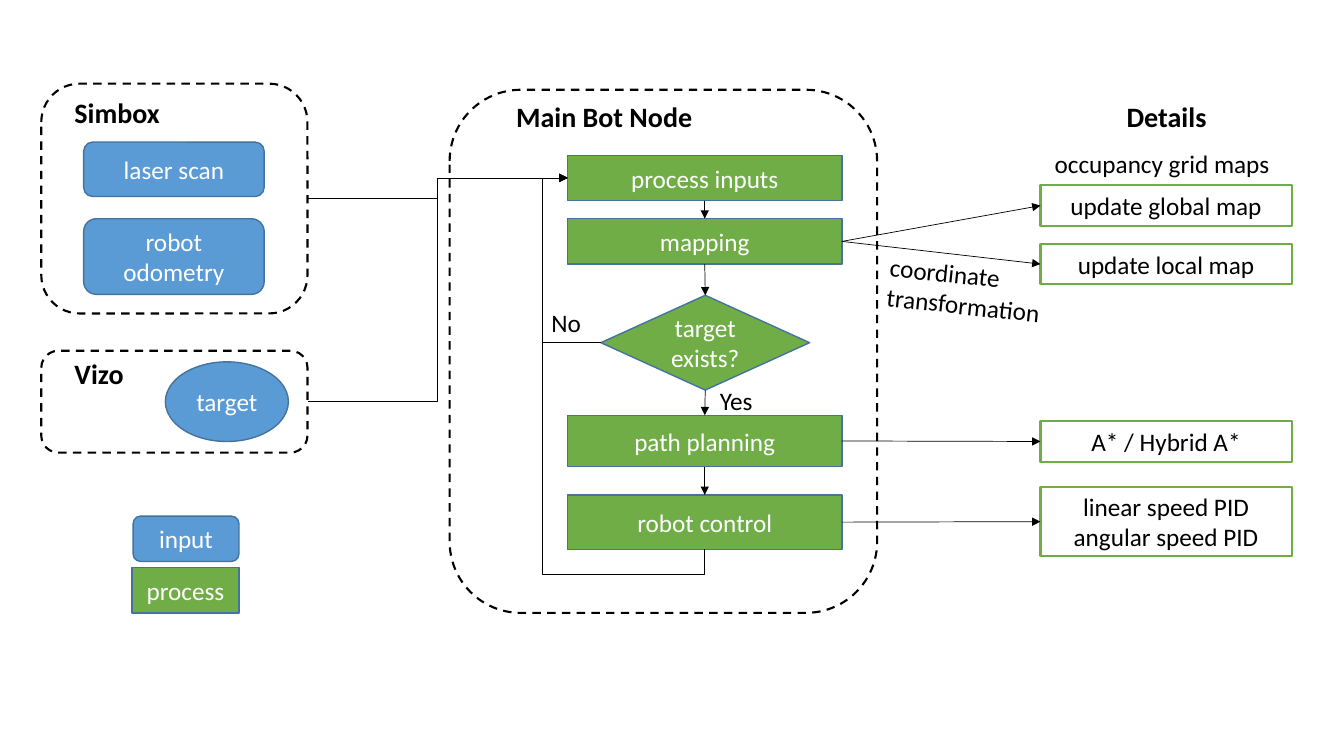
"""Build the flowchart slide of a robot navigation node with its inputs and details."""
from dataclasses import dataclass

from lxml import etree
from pptx import Presentation
from pptx.dml.color import RGBColor
from pptx.enum.dml import MSO_LINE
from pptx.enum.shapes import MSO_CONNECTOR, MSO_SHAPE
from pptx.enum.text import MSO_ANCHOR, PP_ALIGN
from pptx.oxml.ns import qn
from pptx.util import Inches, Pt

RECTANGLE = MSO_SHAPE.RECTANGLE
ROUNDED = MSO_SHAPE.ROUNDED_RECTANGLE
OVAL = MSO_SHAPE.OVAL
DIAMOND = MSO_SHAPE.DIAMOND
STRAIGHT = MSO_CONNECTOR.STRAIGHT
ELBOW = MSO_CONNECTOR.ELBOW
DASH = MSO_LINE.DASH
MIDDLE = MSO_ANCHOR.MIDDLE
LEFT = PP_ALIGN.LEFT
CENTER = PP_ALIGN.CENTER
TOP_SITE, LEFT_SITE, BOTTOM_SITE, RIGHT_SITE = range(4)


@dataclass(frozen=True)
class Theme:
    """Colours, font and sizes of the slide."""
    font: str = "Calibri"
    body: int = 18
    heading: int = 20
    black: str = "000000"
    white: str = "FFFFFF"
    blue: str = "5B9BD5"
    green: str = "70AD47"
    edge: str = "43739E"
    edge_width: float = 1
    frame_width: float = 1.5
    arrow_width: float = 0.5


THEME = Theme()
STEP_LEFT, STEP_WIDTH = 5.63, 2.72
DETAIL_LEFT, DETAIL_WIDTH = 10.32, 2.49
INPUT_LEFT, INPUT_WIDTH = 0.83, 1.79
FRAME_LEFT, FRAME_WIDTH = 0.41, 2.64
LOOP_X = 5.38
LOOP_DROP = 0.25

FRAMES = {
    "Simbox": (FRAME_LEFT, 0.83, FRAME_WIDTH, 2.28),
    "Vizo": (FRAME_LEFT, 3.48, FRAME_WIDTH, 1.01),
    "Main Bot Node": (4.46, 0.89, 4.24, 5.19),
}
INPUTS = [
    ("laser scan", ROUNDED, (INPUT_LEFT, 1.41, INPUT_WIDTH, 0.54)),
    ("robot odometry", ROUNDED, (INPUT_LEFT, 2.17, INPUT_WIDTH, 0.75)),
    ("target", OVAL, (1.64, 3.59, 1.22, 0.79)),
    ("input", ROUNDED, (1.32, 5.12, 1.05, 0.45)),
]
PROCESSES = [
    ("process inputs", RECTANGLE, (STEP_LEFT, 1.54, STEP_WIDTH, 0.45)),
    ("mapping", RECTANGLE, (STEP_LEFT, 2.17, STEP_WIDTH, 0.45)),
    ("target exists?", DIAMOND, (5.96, 2.93, 2.07, 0.94)),
    ("path planning", RECTANGLE, (STEP_LEFT, 4.12, STEP_WIDTH, 0.51)),
    ("robot control", RECTANGLE, (STEP_LEFT, 4.91, STEP_WIDTH, 0.54)),
    ("process", RECTANGLE, (1.31, 5.63, 1.06, 0.45)),
]
FLOW = [name for name, _, _ in PROCESSES[:5]]
DETAILS = [
    ("mapping", "update global map", 1.84, 0.4),
    ("mapping", "update local map", 2.42, 0.4),
    ("path planning", "A* / Hybrid A*", 4.18, 0.4),
    ("robot control", "linear speed PID\nangular speed PID", 4.83, 0.69),
]
HEADINGS = [
    ("Simbox", (0.64, 0.9, 1.08, 0.44), LEFT),
    ("Vizo", (0.64, 3.49, 1.08, 0.44), LEFT),
    ("Main Bot Node", (5.02, 0.94, 2.03, 0.44), LEFT),
    ("Details", (10.66, 0.94, 1.82, 0.44), CENTER),
]
LABELS = [
    ("No", (5.37, 3.0, 0.59, 0.4), LEFT, 0),
    ("Yes", (7.04, 3.77, 0.59, 0.4), LEFT, 0),
    ("occupancy grid maps", (10.33, 1.42, 2.39, 0.4), CENTER, 0),
    ("coordinate\ntransformation", (8.71, 2.53, 1.82, 0.71), LEFT, 6.1),
]

presentation = Presentation()
presentation.slide_width = Inches(13.33)
presentation.slide_height = Inches(7.5)
slide = presentation.slides.add_slide(presentation.slide_layouts[6])


def write(shape, text, size=THEME.body, color=THEME.black, bold=False, align=CENTER):
    """Fill a shape with formatted text, one paragraph a line."""
    frame = shape.text_frame
    frame.word_wrap = True
    frame.text = text
    for paragraph in frame.paragraphs:
        paragraph.alignment = align
        font = paragraph.runs[0].font
        font.name, font.size, font.bold = THEME.font, Pt(size), bold
        font.color.rgb = RGBColor.from_string(color)


def add_box(kind, place, fill=None, line=THEME.edge, width=THEME.edge_width, dash=None):
    """Add a preset shape with its fill and outline."""
    shape = slide.shapes.add_shape(kind, *map(Inches, place))
    shape.shadow.inherit = False
    if fill:
        shape.fill.solid()
        shape.fill.fore_color.rgb = RGBColor.from_string(fill)
    else:
        shape.fill.background()
    shape.line.color.rgb = RGBColor.from_string(line)
    shape.line.width = Pt(width)
    if dash:
        shape.line.dash_style = dash
    shape.text_frame.vertical_anchor = MIDDLE
    return shape


def add_label(text, place, rotation=0, **text_format):
    """Add a text box."""
    box = slide.shapes.add_textbox(*map(Inches, place))
    box.rotation = rotation
    write(box, text, **text_format)


def add_arrow(source, source_site, target, target_site, kind=STRAIGHT):
    """Join two shapes with an arrow."""
    connector = slide.shapes.add_connector(kind, 0, 0, 0, 0)
    connector.begin_connect(source, source_site)
    connector.end_connect(target, target_site)
    connector.line.color.rgb = RGBColor.from_string(THEME.black)
    connector.line.width = Pt(THEME.arrow_width)
    properties = connector._element.spPr
    line = properties.find(qn("a:ln"))
    etree.SubElement(line, qn("a:tailEnd"), type="triangle")
    etree.SubElement(properties, qn("a:effectLst"))
    return connector


def set_bends(connector, preset, *fractions):
    """Set the preset of an elbow and where it bends, as fractions of its box."""
    geometry = connector._element.spPr.find(qn("a:prstGeom"))
    geometry.set("prst", preset)
    guides = geometry.find(qn("a:avLst"))
    for number, fraction in enumerate(fractions, 1):
        etree.SubElement(guides, qn("a:gd"), name=f"adj{number}",
                         fmla=f"val {round(fraction * 100000)}")


def add_return_loop(source, target):
    """Lead from below the last step, up the left side, back to the first."""
    connector = add_arrow(source, BOTTOM_SITE, target, LEFT_SITE, ELBOW)
    start_x, start_y = connector.begin_x, connector.begin_y
    end_x, end_y = connector.end_x, connector.end_y
    rise, run = start_y - end_y, start_x - end_x
    connector.left = (start_x + end_x - rise) // 2
    connector.top = (start_y + end_y - run) // 2
    connector.width, connector.height = rise, run
    transform = connector._element.spPr.find(qn("a:xfrm"))
    for name, value in (("rot", "5400000"), ("flipH", "1"), ("flipV", "0")):
        transform.set(name, value)
    set_bends(connector, "bentConnector4", -Inches(LOOP_DROP) / rise,
              (start_x - Inches(LOOP_X)) / run)


nodes = {}
for name, place in FRAMES.items():
    nodes[name] = add_box(ROUNDED, place, line=THEME.black, width=THEME.frame_width, dash=DASH)
for group, fill in ((INPUTS, THEME.blue), (PROCESSES, THEME.green)):
    for name, kind, place in group:
        nodes[name] = add_box(kind, place, fill=fill)
        write(nodes[name], name, color=THEME.white)
for step, text, top, height in DETAILS:
    detail = add_box(RECTANGLE, (DETAIL_LEFT, top, DETAIL_WIDTH, height),
                     line=THEME.green, width=THEME.frame_width)
    write(detail, text)
    add_arrow(nodes[step], RIGHT_SITE, detail, LEFT_SITE)
for upper, lower in zip(FLOW, FLOW[1:]):
    add_arrow(nodes[upper], BOTTOM_SITE, nodes[lower], TOP_SITE)

first_step = nodes[FLOW[0]]
for name in ("Simbox", "Vizo"):
    add_arrow(nodes[name], RIGHT_SITE, first_step, LEFT_SITE, ELBOW)
decision = nodes["target exists?"]
no_branch = add_arrow(decision, LEFT_SITE, first_step, LEFT_SITE, ELBOW)
set_bends(no_branch, "bentConnector3",
          (decision.left - Inches(LOOP_X)) / (decision.left - first_step.left))
add_return_loop(nodes[FLOW[-1]], first_step)

for text, place, align in HEADINGS:
    add_label(text, place, size=THEME.heading, bold=True, align=align)
for text, place, align, rotation in LABELS:
    add_label(text, place, rotation=rotation, align=align)

presentation.save("out.pptx")
